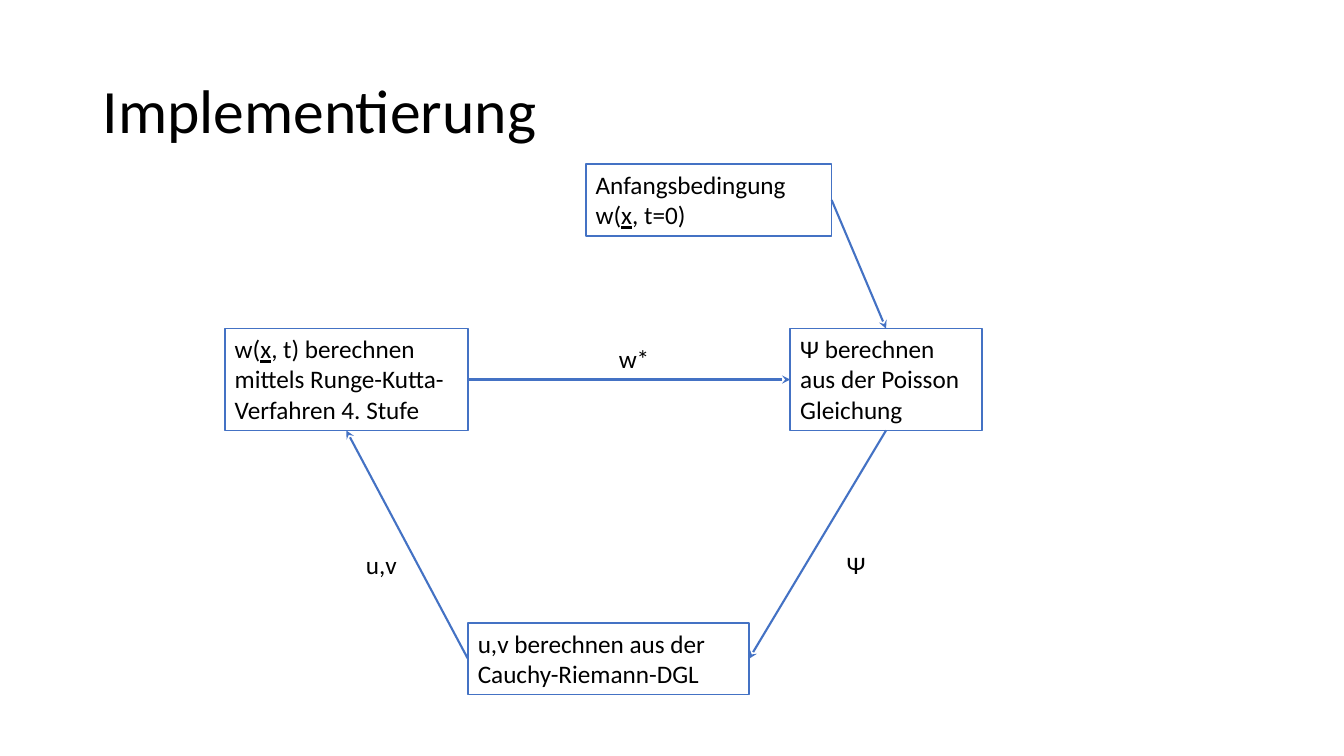
from collections import namedtuple

from lxml import etree
from pptx import Presentation
from pptx.dml.color import RGBColor
from pptx.enum.shapes import MSO_CONNECTOR, MSO_SHAPE
from pptx.enum.text import MSO_ANCHOR, MSO_AUTO_SIZE, PP_ALIGN
from pptx.oxml.ns import qn
from pptx.util import Inches, Pt

RECTANGLE = MSO_SHAPE.RECTANGLE
STRAIGHT = MSO_CONNECTOR.STRAIGHT
LEFT = PP_ALIGN.LEFT
TOP, MIDDLE = MSO_ANCHOR.TOP, MSO_ANCHOR.MIDDLE
GROW, FIXED = MSO_AUTO_SIZE.SHAPE_TO_FIT_TEXT, MSO_AUTO_SIZE.NONE

COLORS = {"text": "000000", "line": "4472C4"}
FONT = "Calibri"
# Connection sites of a rectangle
SITES = {"top": 0, "left": 1, "bottom": 2, "right": 3}

Box = namedtuple("Box", "left top width height")


def part(box, left, top, width, height):
    """Return a box given in percent of the enclosing box."""
    return Box(int(box.left + box.width * left / 100),
               int(box.top + box.height * top / 100),
               int(box.width * width / 100),
               int(box.height * height / 100))


def color(name):
    return RGBColor.from_string(COLORS[name])


def write(shape, text, size=18, anchor=TOP, wrap=True, fit=GROW, spacing=1.0):
    """Fill a shape with text; newlines split paragraphs, _x_ underlines x."""
    frame = shape.text_frame
    frame.word_wrap = wrap
    frame.auto_size = fit
    frame.vertical_anchor = anchor
    for number, line in enumerate(text.split("\n")):
        para = frame.add_paragraph() if number else frame.paragraphs[0]
        para.alignment = LEFT
        para.line_spacing = spacing
        for index, piece in enumerate(line.split("_")):
            span = para.add_run()
            span.text = piece
            span.font.name = FONT
            span.font.size = Pt(size)
            span.font.color.rgb = color("text")
            if index % 2:
                span.font.underline = True


def add_text(page, box, text, **style):
    write(page.shapes.add_textbox(*box), text, **style)


def add_step(page, box, text):
    step = page.shapes.add_shape(RECTANGLE, *box)
    step.shadow.inherit = False
    step.fill.background()
    step.line.color.rgb = color("line")
    step.line.width = Pt(1.25)
    write(step, text)
    return step


def add_arrow(page, start, start_site, end, end_site):
    arrow = page.shapes.add_connector(STRAIGHT, 0, 0, 0, 0)
    arrow.begin_connect(start, SITES[start_site])
    arrow.end_connect(end, SITES[end_site])
    arrow.line.color.rgb = color("line")
    arrow.line.width = Pt(1.5)
    etree.SubElement(arrow.line._get_or_add_ln(), qn("a:tailEnd"), type="stealth")
    etree.SubElement(arrow._element.spPr, qn("a:effectLst"))


def draw_title(page, box):
    add_text(page, box, "Implementierung", size=44, anchor=MIDDLE, fit=FIXED,
             spacing=0.9)


def draw_cycle(page, box):
    two_lines, three_lines = 9.47, 13.47
    middle_row, label_row, label_height = 43.47, 72, 5.33

    # Steps of the computation
    initial = add_step(page, part(box, 43.58, 21.73, 18.3, two_lines),
                       "Anfangsbedingung\nw(_x_, t=0)")
    vorticity = add_step(page, part(box, 16.73, middle_row, 18.08, three_lines),
                         "w(_x_, t) berechnen mittels Runge-Kutta-Verfahren 4. Stufe")
    poisson = add_step(page, part(box, 58.8, middle_row, 14.25, three_lines),
                       "Ψ berechnen aus der Poisson Gleichung")
    velocity = add_step(page, part(box, 34.81, 82.4, 20.93, two_lines),
                        "u,v berechnen aus der Cauchy-Riemann-DGL")

    # Arrows between the steps
    for link in ((initial, "right", poisson, "top"),
                 (poisson, "bottom", velocity, "right"),
                 (velocity, "left", vorticity, "bottom"),
                 (vorticity, "right", poisson, "left")):
        add_arrow(page, *link)

    # Quantities handed along the arrows
    for text, left, top, width in (("Ψ", 62.25, label_row, 2.93),
                                   ("u,v", 26.48, label_row, 3.83),
                                   ("w*", 45.3, 44.8, 3.83)):
        add_text(page, part(box, left, top, width, label_height), text, wrap=False)


deck = Presentation()
deck.slide_width, deck.slide_height = Inches(13.33), Inches(7.5)
page = deck.slides.add_slide(deck.slide_layouts[6])
whole = Box(0, 0, deck.slide_width, deck.slide_height)

draw_title(page, part(whole, 6.9, 5.33, 86.25, 19.33))
draw_cycle(page, whole)

deck.save("out.pptx")
